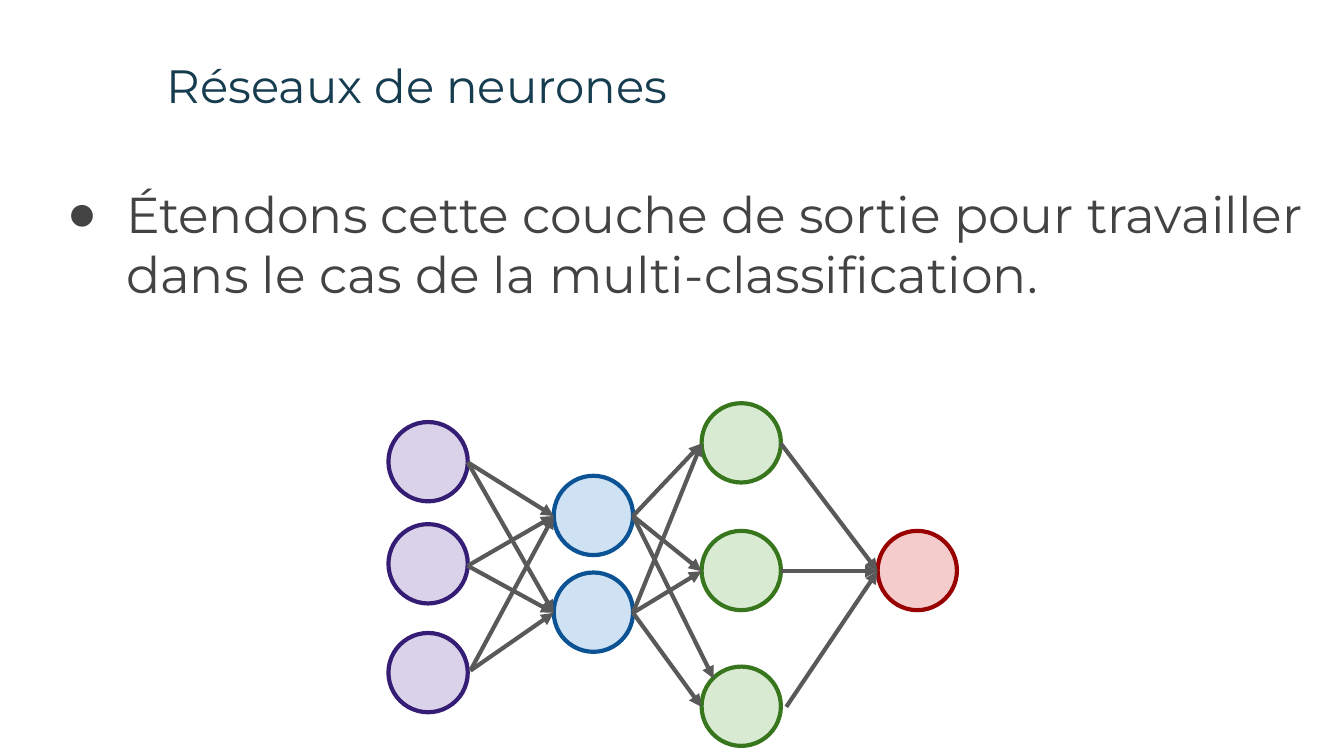
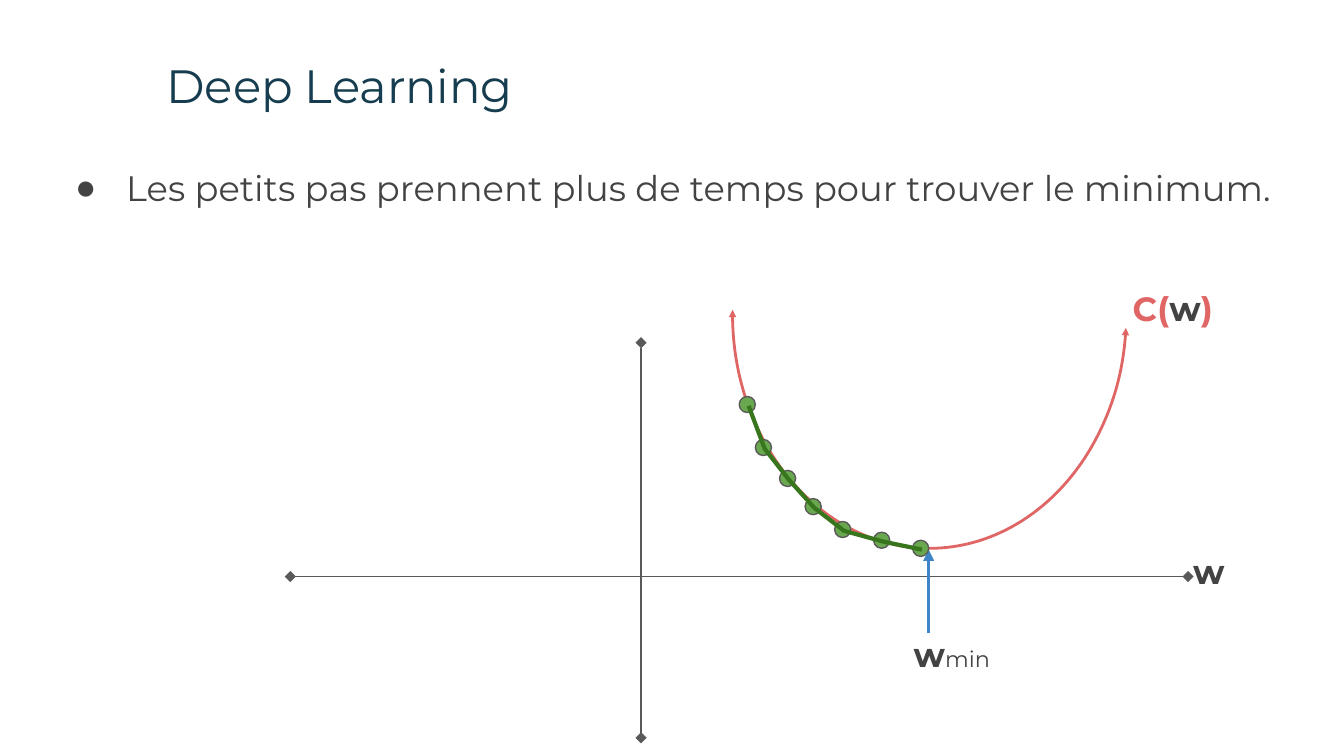
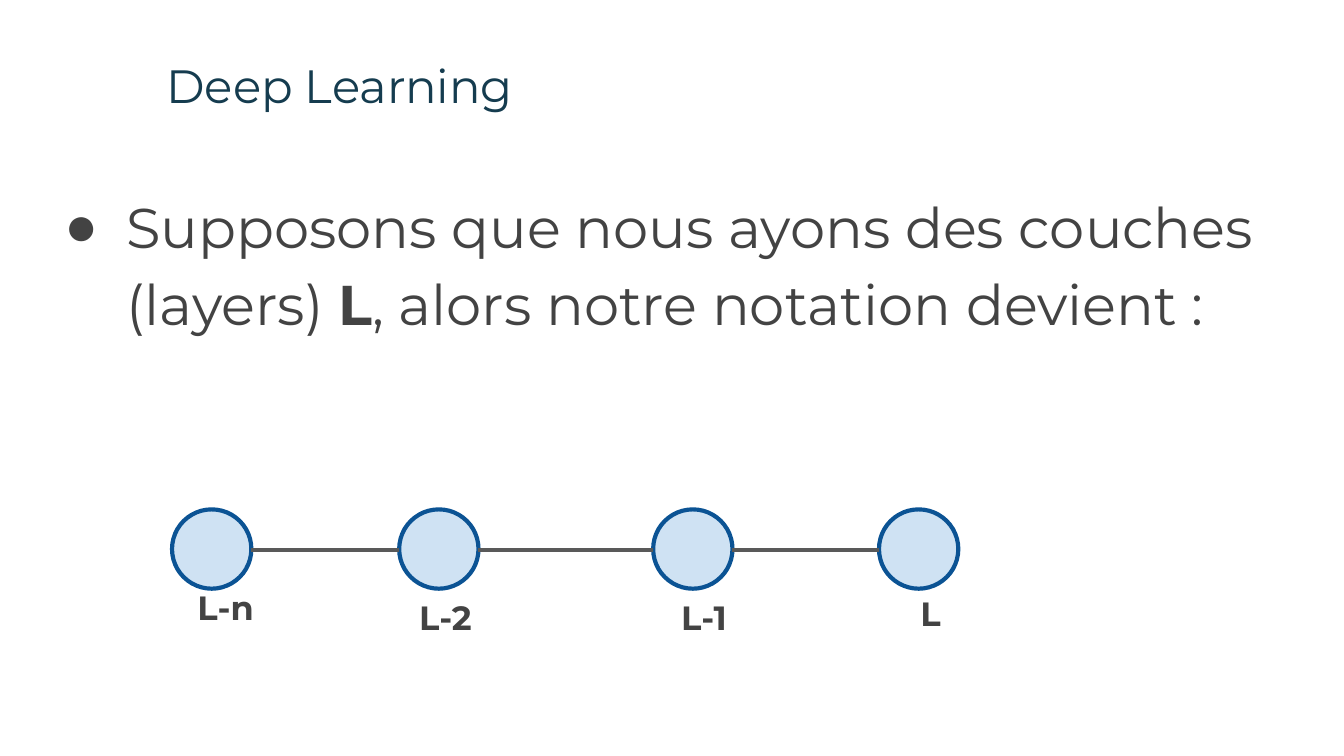
from dataclasses import dataclass
from itertools import pairwise, product

from lxml.etree import SubElement
from pptx import Presentation
from pptx.dml.color import RGBColor
from pptx.enum.shapes import MSO_CONNECTOR, MSO_SHAPE
from pptx.oxml.ns import qn
from pptx.util import Emu, Pt

# Shared scale, font and colours
EMU_PER_PX = 9144  # 100 px to the inch
SLIDE_WIDTH = 1000
FONT = "Montserrat"
BULLET_FONT = "Arial"
TITLE_COLOR = RGBColor(0x15, 0x3C, 0x4F)
TEXT_COLOR = RGBColor(0x43, 0x43, 0x43)
LINK_COLOR = RGBColor(0x59, 0x59, 0x59)
PURPLE = RGBColor(0x35, 0x1C, 0x75)
PALE_PURPLE = RGBColor(0xD9, 0xD2, 0xE9)
BLUE = RGBColor(0x0B, 0x53, 0x94)
PALE_BLUE = RGBColor(0xCF, 0xE2, 0xF3)
GREEN = RGBColor(0x38, 0x76, 0x1D)
PALE_GREEN = RGBColor(0xD9, 0xEA, 0xD3)
RED = RGBColor(0x99, 0x00, 0x00)
PALE_RED = RGBColor(0xF4, 0xCC, 0xCC)
CURVE_COLOR = RGBColor(0xE0, 0x66, 0x66)
MINIMUM_COLOR = RGBColor(0x3D, 0x85, 0xC6)
DOT_COLOR = RGBColor(0x6A, 0xA8, 0x4F)

NEURON_SIZE = 59
NEURON_MIDDLE = 30
DOT_SIZE = 12
DOT_MIDDLE = 7
LABEL_HEIGHT = 59


@dataclass(frozen=True)
class Box:
    left: int
    top: int
    width: int
    height: int

    def emu(self) -> tuple:
        return tuple(map(px, (self.left, self.top, self.width, self.height)))


@dataclass(frozen=True)
class Piece:
    """A stretch of text in one style."""
    text: str
    size: float
    color: RGBColor = TEXT_COLOR
    bold: bool = False


@dataclass(frozen=True)
class Bullet:
    box: Box
    indent: int
    spacing: float
    pieces: tuple


@dataclass(frozen=True)
class Neuron:
    left: int
    top: int
    exit_shift: tuple = (0, 0)

    @property
    def entry(self) -> tuple:
        return self.left, self.top + NEURON_MIDDLE

    @property
    def exit(self) -> tuple:
        shift_x, shift_y = self.exit_shift
        return self.left + NEURON_SIZE + shift_x, self.top + NEURON_MIDDLE + shift_y


@dataclass(frozen=True)
class Layer:
    fill: RGBColor
    line: RGBColor
    neurons: tuple


@dataclass(frozen=True)
class Label:
    left: int
    top: int
    width: int
    pieces: tuple


def px(length: int) -> Emu:
    return Emu(length * EMU_PER_PX)


# Text
def add_text(slide, box: Box, pieces: tuple):
    text_frame = slide.shapes.add_textbox(*box.emu()).text_frame
    text_frame.word_wrap = True
    text_frame.margin_left = text_frame.margin_right = px(10)
    text_frame.margin_top = text_frame.margin_bottom = px(10)
    paragraph = text_frame.paragraphs[0]
    for piece in pieces:
        run = paragraph.add_run()
        run.text = piece.text
        run.font.name = FONT
        run.font.size = Pt(piece.size)
        run.font.bold = piece.bold
        run.font.color.rgb = piece.color
    return paragraph


def add_bullet(slide, bullet: Bullet) -> None:
    paragraph = add_text(slide, bullet.box, bullet.pieces)
    paragraph.line_spacing = bullet.spacing
    properties = paragraph._p.get_or_add_pPr()
    properties.set("marL", str(px(50)))
    properties.set("indent", str(px(-bullet.indent)))
    color = SubElement(properties, qn("a:buClr"))
    SubElement(color, qn("a:srgbClr"), val=str(TEXT_COLOR))
    SubElement(properties, qn("a:buFont"), typeface=BULLET_FONT)
    SubElement(properties, qn("a:buChar"), char="●")


def add_label(slide, label: Label) -> None:
    box = Box(label.left, label.top, label.width, LABEL_HEIGHT)
    add_text(slide, box, label.pieces).space_after = Pt(16)


def add_page(presentation, title: str, bullet: Bullet):
    slide = presentation.slides.add_slide(presentation.slide_layouts[6])
    add_text(slide, Box(114, 32, 852, 63), (Piece(title, 25, TITLE_COLOR),))
    add_bullet(slide, bullet)
    return slide


# Lines and shapes
def style_line(shape, color: RGBColor, width: float, head: str = "none",
               tail: str = "none", end_size: str = "med") -> None:
    shape.line.color.rgb = color
    shape.line.width = Pt(width)
    line = shape.element.spPr.find(qn("a:ln"))
    for tag, kind in (("a:headEnd", head), ("a:tailEnd", tail)):
        SubElement(line, qn(tag), type=kind, w=end_size, len=end_size)


def add_line(slide, start: tuple, end: tuple, color: RGBColor = LINK_COLOR,
             width: float = 2.25, head: str = "none", tail: str = "none") -> None:
    ends = map(px, (*start, *end))
    connector = slide.shapes.add_connector(MSO_CONNECTOR.STRAIGHT, *ends)
    style_line(connector, color, width, head, tail)
    SubElement(connector.element.spPr, qn("a:effectLst"))


def add_circle(slide, left: int, top: int, size: int, fill: RGBColor,
               line: RGBColor, width: float) -> None:
    circle = slide.shapes.add_shape(MSO_SHAPE.OVAL, *Box(left, top, size, size).emu())
    circle.shadow.inherit = False
    circle.fill.solid()
    circle.fill.fore_color.rgb = fill
    style_line(circle, line, width)


def add_layer(slide, layer: Layer) -> None:
    for neuron in layer.neurons:
        add_circle(slide, neuron.left, neuron.top, NEURON_SIZE, layer.fill, layer.line, 2.25)


# Slide 1: network with one output
def build_network(presentation) -> None:
    text = "Étendons cette couche de sortie pour travailler dans le cas de la multi-classification."
    slide = add_page(presentation, "Réseaux de neurones",
                     Bullet(Box(34, 126, 950, 374), 44, 1.0, (Piece(text, 27),)))
    layers = (
        Layer(PALE_PURPLE, PURPLE,
              (Neuron(289, 314), Neuron(289, 390, (0, 1)), Neuron(289, 471, (2, -2)))),
        Layer(PALE_BLUE, BLUE, (Neuron(412, 354), Neuron(412, 426))),
        Layer(PALE_GREEN, GREEN,
              (Neuron(522, 300), Neuron(522, 395), Neuron(522, 496, (4, 0)))),
        Layer(PALE_RED, RED, (Neuron(653, 395),)),
    )
    for layer in layers:
        add_layer(slide, layer)
    # The steepest link meets its neuron at the upper left
    steep_link = (layers[1].neurons[0], layers[2].neurons[2])
    for before, after in pairwise(layers):
        for link in product(before.neurons, after.neurons):
            source, target = link
            end = (531, 505) if link == steep_link else target.entry
            add_line(slide, source.exit, end, tail="triangle")


# Slide 2: descent along the cost curve
def build_descent(presentation) -> None:
    text = "Les petits pas prennent plus de temps pour trouver le minimum."
    slide = add_page(presentation, "Deep Learning",
                     Bullet(Box(34, 109, 932, 84), 38, 1.15, (Piece(text, 18.9),)))
    for start, end in (((477, 255), (477, 549)), ((884, 429), (216, 429))):
        add_line(slide, start, end, width=0.75, head="diamond", tail="diamond")

    curve = slide.shapes.add_shape(MSO_SHAPE.ARC, *Box(517, 87, 349, 293).emu())
    curve.shadow.inherit = False
    curve.rotation = 90
    for index, degrees in enumerate((274.1, 91.2)):
        curve.adjustments[index] = degrees * 0.6  # 60000 units a degree
    curve.fill.background()
    style_line(curve, CURVE_COLOR, 1.5, "triangle", "triangle", "sm")

    weight = Piece("w", 18, bold=True)
    for label in (
        Label(833, 204, 214, (Piece("C(", 18, CURVE_COLOR, True), weight,
                              Piece(")", 18, CURVE_COLOR, True))),
        Label(878, 400, 84, (weight,)),
        Label(670, 462, 114, (weight, Piece("min", 12))),
    ):
        add_label(slide, label)
    add_line(slide, (691, 409), (691, 471), MINIMUM_COLOR, 1.5, head="triangle")

    steps = ((550, 295), (562, 327), (580, 350), (599, 371), (621, 388), (650, 396), (679, 402))
    for left, top in steps:
        add_circle(slide, left, top, DOT_SIZE, DOT_COLOR, LINK_COLOR, 0.75)
    points = [(px(left + DOT_MIDDLE), px(top + DOT_MIDDLE)) for left, top in steps]
    builder = slide.shapes.build_freeform(*points[0])
    builder.add_line_segments(points[1:], close=False)
    descent = builder.convert_to_shape()
    descent.shadow.inherit = False
    descent.fill.background()
    style_line(descent, GREEN, 2.25)


# Slide 3: layer notation
def build_notation(presentation) -> None:
    pieces = (Piece("Supposons que nous ayons des couches (layers) ", 30),
              Piece("L", 30, bold=True),
              Piece(", alors notre notation devient :", 30))
    slide = add_page(presentation, "Deep Learning",
                     Bullet(Box(34, 126, 932, 374), 46, 1.15, pieces))
    chain = Layer(PALE_BLUE, BLUE, tuple(Neuron(left, 379) for left in (128, 297, 486, 654)))
    add_layer(slide, chain)
    for source, target in pairwise(chain.neurons):
        add_line(slide, source.exit, target.entry)
    for left, top, name in ((137, 427, "L-n"), (302, 434, "L-2"),
                            (497, 434, "L-1"), (675, 431, "L")):
        add_label(slide, Label(left, top, 145, (Piece(name, 18, bold=True),)))


def main() -> None:
    presentation = Presentation()
    presentation.slide_width = px(SLIDE_WIDTH)
    presentation.slide_height = Emu(px(SLIDE_WIDTH) * 9 // 16)
    build_network(presentation)
    build_descent(presentation)
    build_notation(presentation)
    presentation.save("out.pptx")


if __name__ == "__main__":
    main()
